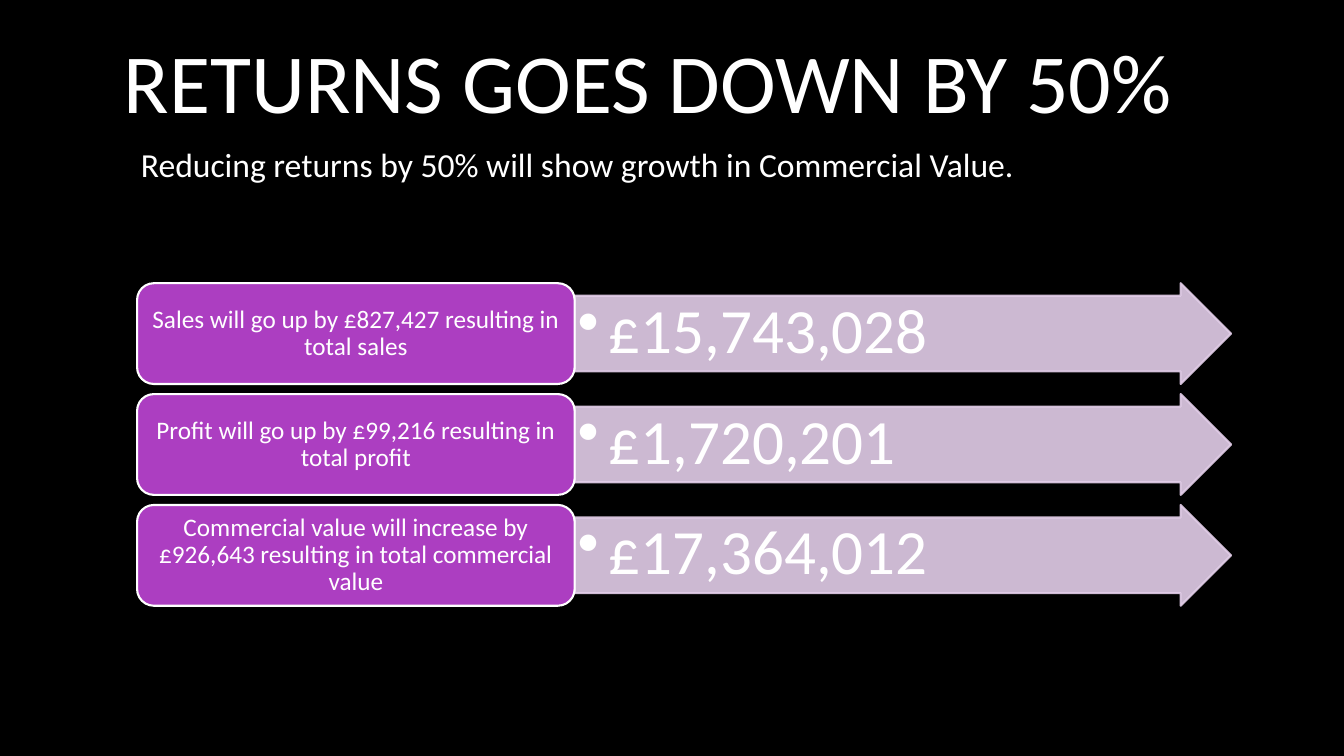
from dataclasses import dataclass

from lxml import etree
from pptx import Presentation
from pptx import util as u
from pptx.dml.color import RGBColor
from pptx.enum import shapes, text
from pptx.oxml import ns


@dataclass(frozen=True)
class Theme:
    font: str = "Calibri"
    back: str = "000000"
    ink: str = "FFFFFF"
    card: str = "AC3EC1"
    arrow: str = "E3CEE9"
    alpha: int = 90
    line: float = 1.5
    title: int = 60
    lead: int = 24
    label: int = 18
    value: int = 45


@dataclass(frozen=True)
class Box:
    left: float
    top: float
    width: float
    height: float

    def place(self) -> list:
        return [u.Inches(n) for n in (self.left, self.top, self.width, self.height)]


@dataclass(frozen=True)
class Gain:
    label: str
    value: str


THEME = Theme()
TOP, STEP, HIGH = 2.81, 1.1, 1
LEFT, SPLIT, RIGHT = 1.36, 5.7, 12.21
HANG = 0.31
GAINS = [
    Gain("Sales will go up by £827,427 resulting in total sales", "£15,743,028"),
    Gain("Profit will go up by £99,216 resulting in total profit", "£1,720,201"),
    Gain("Commercial value will increase by £926,643 resulting in total commercial value",
         "£17,364,012"),
]


def write(shape, words: str, size: int, anchor, align=text.PP_ALIGN.LEFT):
    frame = shape.text_frame
    frame.word_wrap = True
    frame.vertical_anchor = anchor
    frame.text = words
    para = frame.paragraphs[0]
    para.alignment = align
    font = para.runs[0].font
    font.name, font.size = THEME.font, u.Pt(size)
    font.color.rgb = RGBColor.from_string(THEME.ink)
    return para


def inset(shape, side: float, edge: float) -> None:
    frame = shape.text_frame
    frame.margin_left = frame.margin_right = u.Inches(side)
    frame.margin_top = frame.margin_bottom = u.Inches(edge)


def fade(shape) -> None:
    """Make the fill and line of a shape slightly transparent."""
    for color in shape.element.spPr.iter(ns.qn("a:srgbClr")):
        etree.SubElement(color, ns.qn("a:alpha"), val=str(THEME.alpha * 1000))


def bullet(para) -> None:
    """Give a paragraph a round bullet with a hanging indent."""
    props = para._p.get_or_add_pPr()
    props.set("marL", str(u.Inches(HANG)))
    props.set("indent", str(u.Inches(-HANG)))
    etree.SubElement(props, ns.qn("a:buChar"), char="•")


def block(slide, kind, box: Box, fill: str, line: str):
    shape = slide.shapes.add_shape(kind, *box.place())
    shape.shadow.inherit = False
    shape.fill.solid()
    shape.fill.fore_color.rgb = RGBColor.from_string(fill)
    shape.line.color.rgb = RGBColor.from_string(line)
    shape.line.width = u.Pt(THEME.line)
    return shape


def row(slide, gain: Gain, top: float) -> None:
    """Draw a value arrow and the label card at its tail."""
    arrow = block(slide, shapes.MSO_SHAPE.RIGHT_ARROW,
                  Box(SPLIT, top, RIGHT - SPLIT, HIGH), THEME.arrow, THEME.arrow)
    arrow.adjustments[0], arrow.adjustments[1] = 0.75, 0.5
    fade(arrow)
    inset(arrow, 0.03, 0.03)
    para = write(arrow, gain.value, THEME.value, text.MSO_ANCHOR.TOP)
    para.line_spacing = 0.9
    bullet(para)

    card = block(slide, shapes.MSO_SHAPE.ROUNDED_RECTANGLE,
                 Box(LEFT, top, SPLIT - LEFT, HIGH), THEME.card, THEME.ink)
    inset(card, 0.07, 0.04)
    para = write(card, gain.label, THEME.label, text.MSO_ANCHOR.MIDDLE,
                 text.PP_ALIGN.CENTER)
    para.line_spacing = 0.9


def main() -> None:
    deck = Presentation()
    deck.slide_width, deck.slide_height = u.Inches(13.33), u.Inches(7.5)
    slide = deck.slides.add_slide(deck.slide_layouts[6])
    slide.background.fill.solid()
    slide.background.fill.fore_color.rgb = RGBColor.from_string(THEME.back)

    title = slide.shapes.add_textbox(*Box(1.13, 0, 11.08, 1.59).place())
    write(title, "RETURNS GOES DOWN BY 50%", THEME.title, text.MSO_ANCHOR.MIDDLE)
    for i, gain in enumerate(GAINS):
        row(slide, gain, TOP + i * STEP)
    lead = slide.shapes.add_textbox(*Box(1.3, 1.38, 10.73, 0.5).place())
    write(lead, "Reducing returns by 50% will show growth in Commercial Value.",
          THEME.lead, text.MSO_ANCHOR.TOP)
    deck.save("out.pptx")


if __name__ == "__main__":
    main()
